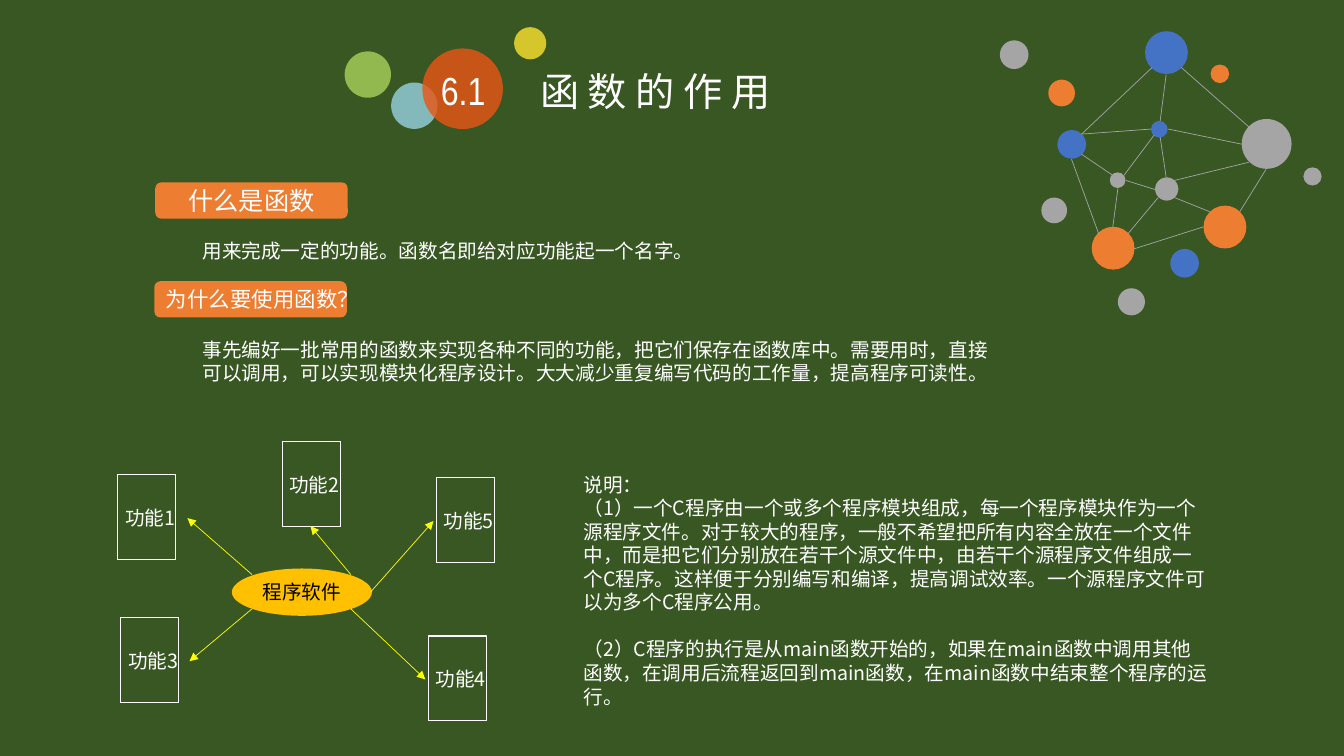
from lxml.etree import SubElement
from pptx import Presentation
from pptx.dml.color import RGBColor
from pptx.enum.shapes import MSO_CONNECTOR, MSO_SHAPE
from pptx.enum.text import MSO_ANCHOR, MSO_AUTO_SIZE, PP_ALIGN
from pptx.oxml.ns import qn
from pptx.util import Pt

THEME = {
    "background": "385723", "text": "FFFFFF", "dark": "000000",
    "blue": "4472C4", "orange": "ED7D31", "grey": "A5A5A5",
    "hub": "FFC000", "arrow": "FFFF00",
    "yellow": "FBE22D", "green": "A9D25A", "sky": "98D2E3", "red": "EA5514",
    "font": "Noto Sans CJK SC", "number font": "Arial Narrow",
    "title": 28, "heading": 18, "long heading": 15.3, "body": 14,
}

TITLE = ("函 数 的 作 用", (378.7, 44.6, 189.4, 41))
CHAPTER = ("6.1", (310.3, 47.5, 41, 33.8))
HEADINGS = [  # text, box, size, alignment
    ("什么是函数", (110.9, 130.3, 137.5, 25.9), "heading", PP_ALIGN.CENTER),
    ("为什么要使用函数？", (110.2, 200.9, 137.5, 25.9), "long heading", PP_ALIGN.LEFT),
]
DEFINITION = ("用来完成一定的功能。函数名即给对应功能起一个名字。",
              (137.5, 167, 367.9, 24.5))
REASON = ("事先编好一批常用的函数来实现各种不同的功能，把它们保存在函数库中。"
          "需要用时，直接可以调用，可以实现模块化程序设计。"
          "大大减少重复编写代码的工作量，提高程序可读性。",
          (137.5, 237.6, 584.6, 58.3))
NOTES = ([
    "说明：",
    "（1）一个C程序由一个或多个程序模块组成，每一个程序模块作为一个源程序文件。"
    "对于较大的程序，一般不希望把所有内容全放在一个文件中，"
    "而是把它们分别放在若干个源文件中，由若干个源程序文件组成一个C程序。"
    "这样便于分别编写和编译，提高调试效率。一个源程序文件可以为多个C程序公用。",
    "（2）C程序的执行是从main函数开始的，如果在main函数中调用其他函数，"
    "在调用后流程返回到main函数，在main函数中结束整个程序的运行。",
], (409.7, 334.1, 460.8, 177.1))

PROGRAM = ("程序软件", (165.6, 406.1, 100.1, 33.8))
MODULE_SIZE = (41.3, 60.5)
LABEL_OFFSET, LABEL_SIZE = (-2, 18.9), (51.1, 24.5)
MODULES = [  # label, corner, arrow start, arrow end
    ("功能1", (84.2, 339.1), (180, 410.4), (133.9, 370.1)),
    ("功能2", (201.6, 315.4), (250.6, 410.4), (221.8, 375.8)),
    ("功能3", (86.4, 441.4), (180, 434.9), (135.4, 472.3)),
    ("功能4", (306, 454.3), (250.6, 434.9), (303.8, 485.3)),
    ("功能5", (311.8, 341.3), (265, 422.6), (309.6, 372.2)),
]

BADGE_DOTS = [  # colour, left, top, diameter
    ("yellow", 367.2, 19.4, 23), ("green", 246.2, 36.7, 33.1),
    ("sky", 279.4, 59, 33.1), ("red", 301.7, 34.6, 57.6),
]
NETWORK_DOTS = [
    ("blue", 817.9, 22.3, 30.6), ("orange", 779.8, 162, 30.6),
    ("grey", 825.1, 126.7, 16.6), ("blue", 755.3, 92.9, 20.5),
    ("orange", 864.7, 46.1, 13.3), ("grey", 887, 85, 35.6),
    ("blue", 822.2, 86.4, 11.9), ("orange", 859.7, 146.9, 30.6),
    ("grey", 792.7, 123.1, 11.2), ("blue", 835.9, 177.8, 20.5),
    ("orange", 748.8, 56.9, 19.1), ("grey", 714.2, 28.8, 20.5),
    ("grey", 798.5, 205.9, 19.4), ("grey", 743.8, 141.1, 18.4),
    ("grey", 931, 119.5, 13),
]
NETWORK_LINKS = [
    ((843.8, 48.2), (892.1, 90.7)), ((838.8, 128.9), (892.1, 115.9)),
    ((885.6, 151.2), (904.3, 121)), ((805.7, 167), (827.3, 141.1)),
    ((772.6, 95.8), (823, 48.2)), ((828.7, 86.4), (833, 53.3)),
    ((887, 103), (834.5, 92.2)), ((828.7, 97.9), (833, 126.7)),
    ((838.8, 141.1), (864, 151.2)), ((772.6, 95.8), (822.2, 92.2)),
    ((765.4, 113.8), (784.8, 167)), ((772.6, 110.2), (794.9, 125.3)),
    ((802.8, 125.3), (824.4, 96.5)), ((804.2, 128.9), (825.1, 135.4)),
    ((794.9, 162), (798.5, 134.6)), ((810, 177.8), (859.7, 162)),
]


def colour(name):
    return RGBColor.from_string(THEME[name])


def points(values):
    return [Pt(value) for value in values]


def write(shape, text, size="body", ink="text", font="font", align=PP_ALIGN.LEFT,
          anchor=MSO_ANCHOR.TOP, wrap=False, grow=True, inset=None, gaps=()):
    """Fill a shape with one paragraph or a list; gaps are spaces before each."""
    frame = shape.text_frame
    frame.word_wrap = wrap
    frame.auto_size = MSO_AUTO_SIZE.SHAPE_TO_FIT_TEXT if grow else MSO_AUTO_SIZE.NONE
    frame.vertical_anchor = anchor
    if inset is not None:
        frame.margin_left = frame.margin_right = Pt(inset)
        frame.margin_top = frame.margin_bottom = Pt(inset)
    lines = [text] if isinstance(text, str) else text
    for index, line in enumerate(lines):
        paragraph = frame.add_paragraph() if index else frame.paragraphs[0]
        paragraph.alignment = align
        if index < len(gaps):
            paragraph.space_before = Pt(gaps[index])
        run = paragraph.add_run()
        run.text = line
        run.font.size = Pt(THEME[size])
        run.font.color.rgb = colour(ink)
        run.font.name = THEME[font]
        SubElement(run.font._element, qn("a:ea"), typeface=THEME[font])


def add_text(parent, text, box, **style):
    write(parent.add_textbox(*points(box)), text, **style)


def add_figure(parent, kind, box, fill=None, outline=None, opacity=100):
    figure = parent.add_shape(kind, *points(box))
    figure.shadow.inherit = False
    if fill:
        figure.fill.solid()
        figure.fill.fore_color.rgb = colour(fill)
        if opacity < 100:
            tint = figure.fill._xPr.find(".//" + qn("a:srgbClr"))
            SubElement(tint, qn("a:alpha"), val=str(opacity * 1000))
    else:
        figure.fill.background()
    if outline:
        figure.line.color.rgb = colour(outline)
        figure.line.width = Pt(0.75)
    else:
        figure.line.fill.background()
    return figure


def add_dots(parent, dots, opacity=100):
    for fill, left, top, diameter in dots:
        add_figure(parent, MSO_SHAPE.OVAL, (left, top, diameter, diameter),
                   fill=fill, opacity=opacity)


def add_link(parent, start, end, ink, arrow=False):
    link = parent.add_connector(MSO_CONNECTOR.STRAIGHT, *points(start + end))
    link.line.color.rgb = colour(ink)
    link.line.width = Pt(0.5)
    if arrow:
        SubElement(link.line._get_or_add_ln(), qn("a:tailEnd"), type="triangle")
    SubElement(link._element.spPr, qn("a:effectLst"))


def main():
    deck = Presentation()
    deck.slide_width, deck.slide_height = Pt(960), Pt(540)
    slide = deck.slides.add_slide(deck.slide_layouts[6])
    slide.background.fill.solid()
    slide.background.fill.fore_color.rgb = colour("background")
    shapes = slide.shapes

    network = shapes.add_group_shape().shapes
    add_dots(network, NETWORK_DOTS)
    for start, end in NETWORK_LINKS:
        add_link(network, start, end, "grey")

    add_text(shapes, *TITLE, size="title")
    badge = shapes.add_group_shape().shapes
    add_dots(badge, BADGE_DOTS, opacity=80)
    add_text(badge, *CHAPTER, size="title", font="number font",
             align=PP_ALIGN.CENTER, wrap=True, inset=0)

    add_text(shapes, *DEFINITION)
    add_text(shapes, *REASON, wrap=True)

    program, program_box = PROGRAM
    write(add_figure(shapes, MSO_SHAPE.OVAL, program_box, fill="hub"), program,
          ink="dark", align=PP_ALIGN.CENTER, anchor=MSO_ANCHOR.MIDDLE, grow=False)
    for label, corner, start, end in MODULES:
        add_figure(shapes, MSO_SHAPE.RECTANGLE, corner + MODULE_SIZE, outline="text")
        label_corner = tuple(c + o for c, o in zip(corner, LABEL_OFFSET))
        add_text(shapes, label, label_corner + LABEL_SIZE, wrap=True)
        add_link(shapes, start, end, "arrow", arrow=True)

    add_text(shapes, *NOTES, wrap=True, gaps=(0, 0, 16.8))
    for heading, box, size, align in HEADINGS:
        write(add_figure(shapes, MSO_SHAPE.ROUNDED_RECTANGLE, box, fill="orange"),
              heading, size=size, align=align, anchor=MSO_ANCHOR.MIDDLE, grow=False)
    deck.save("out.pptx")


if __name__ == "__main__":
    main()
